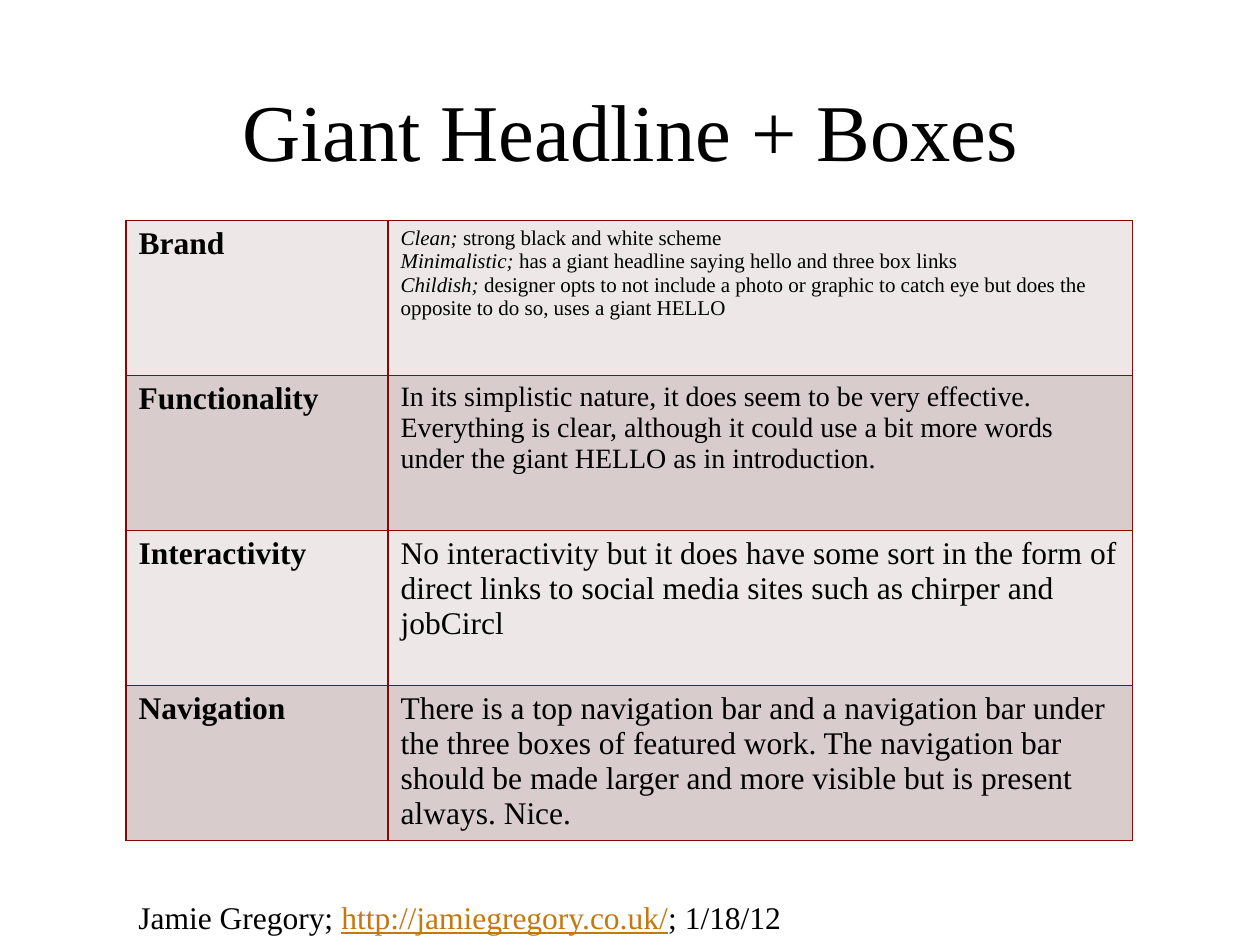
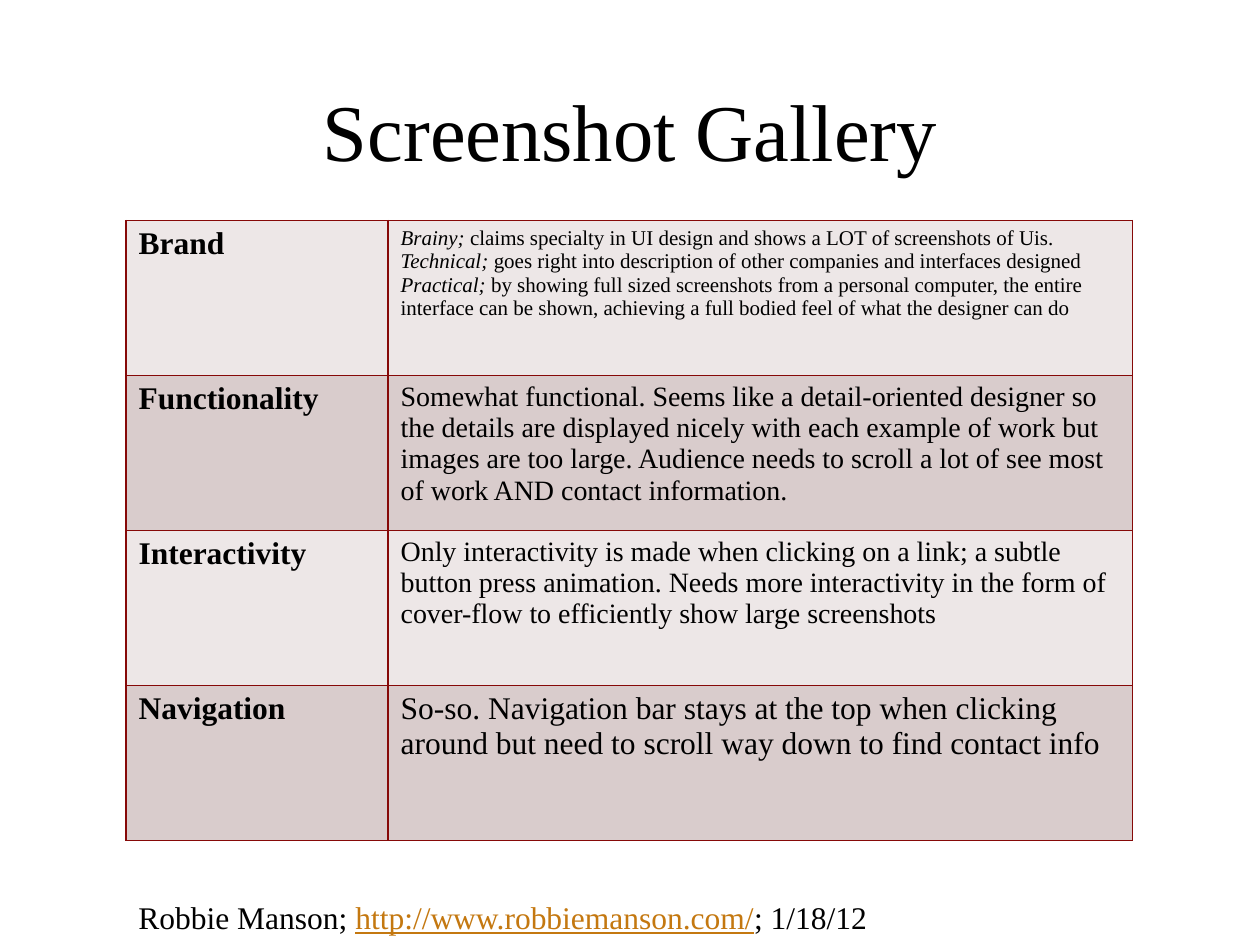
import pptx
import pptx.dml.color
import pptx.enum.text
import pptx.oxml
import pptx.oxml.ns
import pptx.util
from pptx.util import Inches

FONT = "Times New Roman"
BLACK, MAROON, LINK = "000000", "860908", "C47810"
BANDS = ("EDE7E7", "D9CCCC")
LABELS = ("Brand", "Functionality", "Interactivity", "Navigation")
COLUMNS, ROW_HEIGHT = (2.08, 5.91), 1.23
DATE = "1/18/12"


def rgb(value):
    return pptx.dml.color.RGBColor.from_string(value)


class Deck:
    def __init__(self):
        self.prs = pptx.Presentation()
        self.prs.slide_width, self.prs.slide_height = Inches(10), Inches(7.5)
        self.s = None

    def font(self, font, size, color=BLACK, bold=False):
        font.name, font.size, font.bold = FONT, pptx.util.Pt(size), bold
        font.color.rgb = rgb(color)

    def slide(self, title):
        self.s = self.prs.slides.add_slide(self.prs.slide_layouts[5])
        sp = self.s.shapes.title
        sp.left, sp.top = Inches(1), Inches(0.55)
        sp.width, sp.height = Inches(8), Inches(0.95)
        tf = sp.text_frame
        tf.text = title
        tf.vertical_anchor = pptx.enum.text.MSO_ANCHOR.MIDDLE
        p = tf.paragraphs[0]
        p.alignment = pptx.enum.text.PP_ALIGN.CENTER
        self.font(p.font, 46)

    def cell(self, cell, fill):
        """Set the borders first: the fill must follow them in the XML."""
        tcPr = cell._tc.get_or_add_tcPr()
        for side in "LRTB":
            tcPr.append(pptx.oxml.parse_xml(
                f'<a:ln{side} {pptx.oxml.ns.nsdecls("a")} w="12700"><a:solidFill>'
                f'<a:srgbClr val="{MAROON}"/></a:solidFill></a:ln{side}>'))
        cell.fill.solid()
        cell.fill.fore_color.rgb = rgb(fill)

    def review_table(self, traits, reviews):
        """Traits are (word, remark) pairs; reviews are (size, text) pairs."""
        rows = len(LABELS)
        table = self.s.shapes.add_table(
            rows, 2, Inches(1), Inches(1.75),
            Inches(sum(COLUMNS)), Inches(ROW_HEIGHT * rows)).table
        table.first_row = table.horz_banding = False
        for column, width in zip(table.columns, COLUMNS):
            column.width = Inches(width)

        for i, label in enumerate(LABELS):
            table.rows[i].height = Inches(ROW_HEIGHT)
            for cell in table.rows[i].cells:
                self.cell(cell, BANDS[i % 2])
            p = table.cell(i, 0).text_frame.paragraphs[0]
            p.text = label
            self.font(p.font, 18, bold=True)

        # Brand traits, each opening with a word in italics
        tf = table.cell(0, 1).text_frame
        for i, (word, remark) in enumerate(traits):
            p = tf.add_paragraph() if i else tf.paragraphs[0]
            self.font(p.font, 12)
            r = p.add_run()
            r.text = word + "; "
            r.font.italic = True
            p.add_run().text = remark

        for i, (size, text) in enumerate(reviews, 1):
            p = table.cell(i, 1).text_frame.paragraphs[0]
            p.text = text
            self.font(p.font, size)

    def source(self, designer, url, width):
        sp = self.s.shapes.add_textbox(
            Inches(1), Inches(7.08), Inches(width), Inches(0.4))
        tf = sp.text_frame
        tf.word_wrap = False
        tf.auto_size = pptx.enum.text.MSO_AUTO_SIZE.SHAPE_TO_FIT_TEXT
        p = tf.paragraphs[0]
        for text in (designer + "; ", url, "; " + DATE):
            r = p.add_run()
            r.text = text
            self.font(r.font, 18, LINK if text == url else BLACK)
            r.font.underline = text == url


def main():
    deck = Deck()

    # Giant headline site
    deck.slide("Giant Headline + Boxes")
    deck.review_table(
        [("Clean", "strong black and white scheme"),
         ("Minimalistic", "has a giant headline saying hello and three box links"),
         ("Childish", "designer opts to not include a photo or graphic to catch eye "
                      "but does the opposite to do so, uses a giant HELLO")],
        [(16, "In its simplistic nature, it does seem to be very effective. "
              "Everything is clear, although it could use a bit more words under "
              "the giant HELLO as in introduction."),
         (18, "No interactivity but it does have some sort in the form of direct "
              "links to social media sites such as chirper and jobCircl"),
         (18, "There is a top navigation bar and a navigation bar under the three "
              "boxes of featured work. The navigation bar should be made larger and "
              "more visible but is present always. Nice.")])
    deck.source("Jamie Gregory", "http://jamiegregory.co.uk/", 5.45)

    # Screenshot gallery site
    deck.slide("Screenshot Gallery")
    deck.review_table(
        [("Brainy", "claims specialty in UI design and shows a LOT of screenshots of Uis."),
         ("Technical", "goes right into description of other companies and interfaces designed"),
         ("Practical", "by showing full sized screenshots from a personal computer, the "
                       "entire interface can be shown, achieving a full bodied feel of "
                       "what the designer can do")],
        [(16, "Somewhat functional. Seems like a detail-oriented designer so the "
              "details are displayed nicely with each example of work but images are "
              "too large. Audience needs to scroll a lot of see most of work AND "
              "contact information."),
         (16, "Only interactivity is made when clicking on a link; a subtle button "
              "press animation. Needs more interactivity in the form of cover-flow to "
              "efficiently show large screenshots"),
         (18, "So-so. Navigation bar stays at the top when clicking around but need "
              "to scroll way down to find contact info")])
    deck.source("Robbie Manson", "http://www.robbiemanson.com/", 6.19)

    deck.prs.save("out.pptx")


if __name__ == "__main__":
    main()
